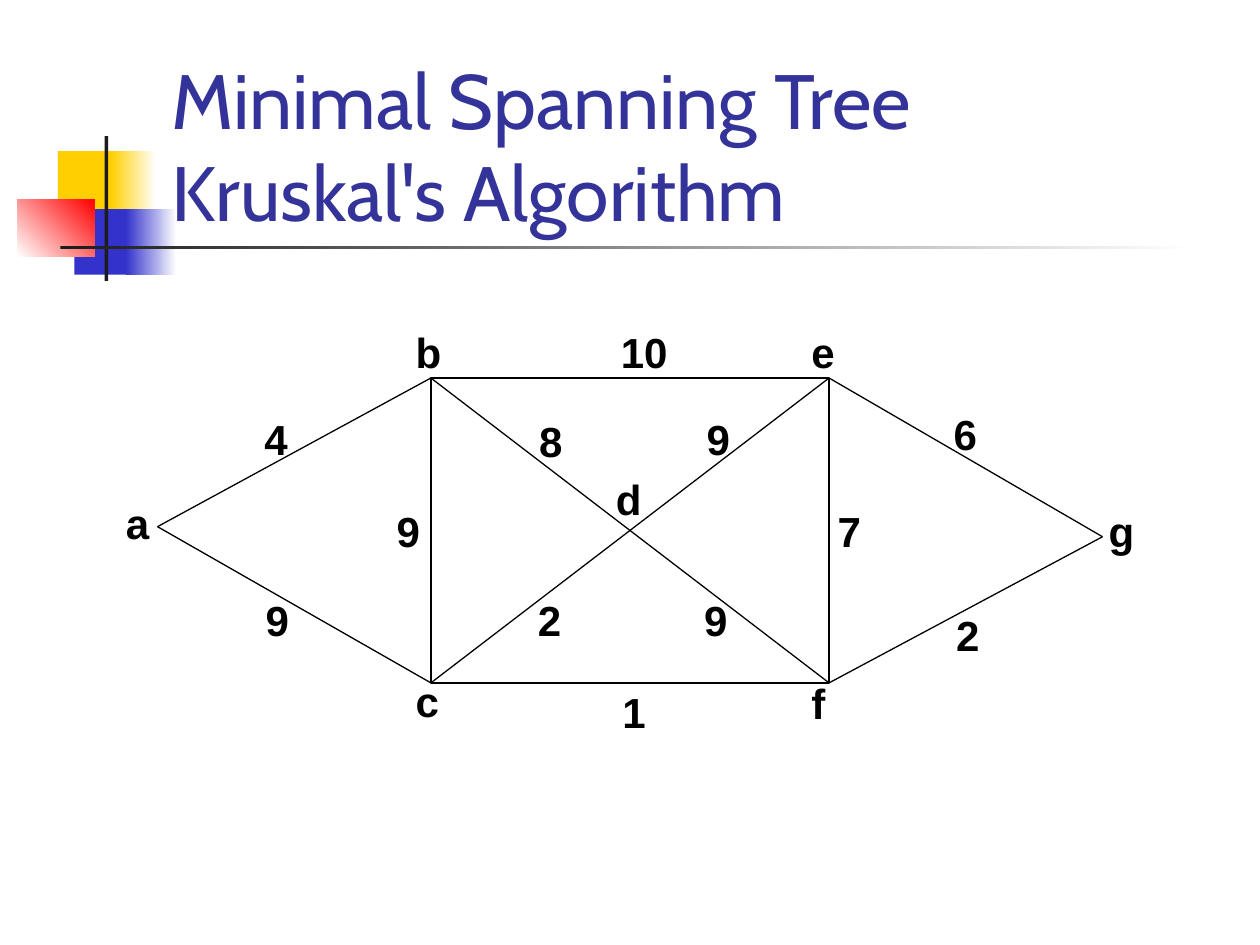
from pptx import Presentation
from pptx.dml.color import RGBColor
from pptx.enum.shapes import MSO_CONNECTOR, MSO_SHAPE
from pptx.enum.text import MSO_ANCHOR, MSO_AUTO_SIZE, PP_ALIGN
from pptx.oxml.ns import qn
from pptx.util import Inches, Pt
from lxml.etree import SubElement

WHITE = RGBColor(0xFF, 0xFF, 0xFF)
BLACK = RGBColor(0, 0, 0)
YELLOW = RGBColor(0xFF, 0xCF, 0x01)
BLUE = RGBColor(0x33, 0x33, 0xCC)
RED = RGBColor(0xFF, 0, 0)
CHARCOAL = RGBColor(0x1C, 0x1C, 0x1C)
TITLE_BLUE = RGBColor(0x33, 0x33, 0x99)

# Left, top, width, height, colours (two make a gradient), angle
DECORATIONS = [
    (0.46, 1.2, 0.48, 0.52, [YELLOW], 0),
    (0.88, 1.2, 0.36, 0.52, [YELLOW, WHITE], 0),
    (0.59, 1.66, 0.46, 0.52, [BLUE], 0),
    (1, 1.66, 0.4, 0.52, [BLUE, WHITE], 0),
    (0.14, 1.58, 0.61, 0.46, [WHITE, RED], 45),
    (0.83, 1.08, 0.03, 1.15, [CHARCOAL], 0),
    (0.48, 1.95, 9, 0.03, [CHARCOAL, WHITE], 0),
]

# The rectangle b-e-f-c and the outer vertices of the graph
LEFT, TOP, RIGHT, BOTTOM = 3.42, 3, 6.58, 5.42
NODES = {
    "a": (1.25, 4.18), "b": (LEFT, TOP), "c": (LEFT, BOTTOM),
    "e": (RIGHT, TOP), "f": (RIGHT, BOTTOM), "g": (8.75, 4.26),
}
# The diagonals cross at d
EDGES = ["bf", "ec", "eg", "fg", "ba", "ac"]

# Text, left, top
NODE_LABELS = [
    ("a", 0.9, 3.9), ("b", 3.2, 2.54), ("c", 3.2, 5.31), ("d", 4.79, 3.71),
    ("e", 6.34, 2.54), ("f", 6.34, 5.33), ("g", 8.7, 3.96),
]
WEIGHT_LABELS = [
    ("10", 4.83, 2.54), ("1", 4.84, 5.4), ("9", 3.05, 3.96), ("7", 6.55, 3.96),
    ("4", 2, 3.23), ("9", 2.01, 4.67), ("6", 7.47, 3.19), ("2", 7.49, 4.79),
    ("8", 4.18, 3.25), ("2", 4.17, 4.67), ("9", 5.51, 3.23), ("9", 5.49, 4.67),
]
LABEL_WIDTHS = {"10": 0.57, "f": 0.31}


def add_rectangle(slide, left, top, width, height):
    shape = slide.shapes.add_shape(
        MSO_SHAPE.RECTANGLE, Inches(left), Inches(top), Inches(width), Inches(height))
    shape.shadow.inherit = False
    return shape


def add_decoration(slide, left, top, width, height, colors, angle):
    shape = add_rectangle(slide, left, top, width, height)
    shape.line.fill.background()
    if len(colors) == 1:
        shape.fill.solid()
        shape.fill.fore_color.rgb = colors[0]
        return
    shape.fill.gradient()
    shape.fill.gradient_angle = angle
    for stop, color, position in zip(shape.fill.gradient_stops, colors, (0, 1)):
        stop.color.rgb = color
        stop.position = position


def format_title(slide):
    title = slide.shapes.title
    title.left, title.top = Inches(1.26), Inches(0.68)
    title.width, title.height = Inches(8.52), Inches(1.25)
    # Bring the title in front of the decorations
    title.element.getparent().append(title.element)
    frame = title.text_frame
    frame.word_wrap = True
    frame.auto_size = MSO_AUTO_SIZE.NONE
    frame.vertical_anchor = MSO_ANCHOR.BOTTOM
    paragraph = frame.paragraphs[0]
    paragraph.alignment = PP_ALIGN.LEFT
    add_run(paragraph, "Minimal Spanning Tree", "Cabin", 44, TITLE_BLUE)
    paragraph.add_line_break()
    add_run(paragraph, "Kruskal's Algorithm", "Cabin", 44, TITLE_BLUE)


def add_run(paragraph, text, font_name, size, color, bold=False):
    run = paragraph.add_run()
    run.text = text
    run.font.name = font_name
    run.font.size = Pt(size)
    run.font.bold = bold
    run.font.color.rgb = color


def format_line(line):
    line.color.rgb = BLACK
    line.width = Pt(0.75)


def add_frame(slide):
    shape = add_rectangle(slide, LEFT, TOP, RIGHT - LEFT, BOTTOM - TOP)
    shape.fill.background()
    format_line(shape.line)


def add_edge(slide, start, end):
    points = [Inches(value) for value in NODES[start] + NODES[end]]
    connector = slide.shapes.add_connector(MSO_CONNECTOR.STRAIGHT, *points)
    format_line(connector.line)
    SubElement(connector.element.spPr, qn("a:effectLst"))


def add_label(slide, text, left, top):
    width = LABEL_WIDTHS.get(text, 0.39)
    box = slide.shapes.add_textbox(Inches(left), Inches(top), Inches(width), Inches(0.5))
    frame = box.text_frame
    frame.word_wrap = False
    frame.auto_size = MSO_AUTO_SIZE.SHAPE_TO_FIT_TEXT
    add_run(frame.paragraphs[0], text, "Arial", 24, BLACK, bold=True)


def main():
    presentation = Presentation()
    presentation.slide_width, presentation.slide_height = Inches(10), Inches(7.5)
    slide = presentation.slides.add_slide(presentation.slide_layouts.get_by_name("Title Only"))

    # Heading
    for decoration in DECORATIONS:
        add_decoration(slide, *decoration)
    format_title(slide)

    # Graph
    add_frame(slide)
    for start, end in EDGES:
        add_edge(slide, start, end)
    for label in NODE_LABELS + WEIGHT_LABELS:
        add_label(slide, *label)

    presentation.save("out.pptx")


if __name__ == "__main__":
    main()
